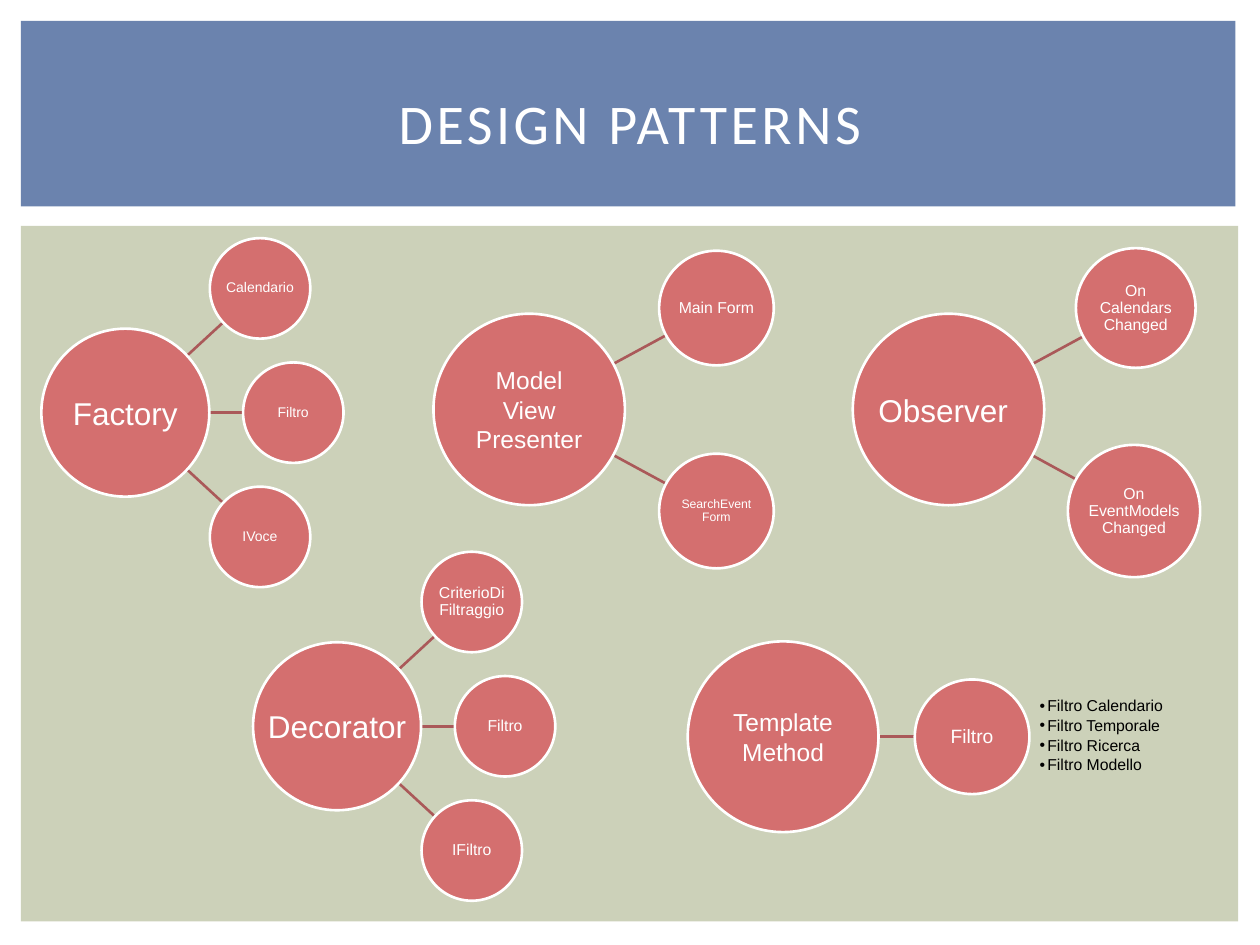
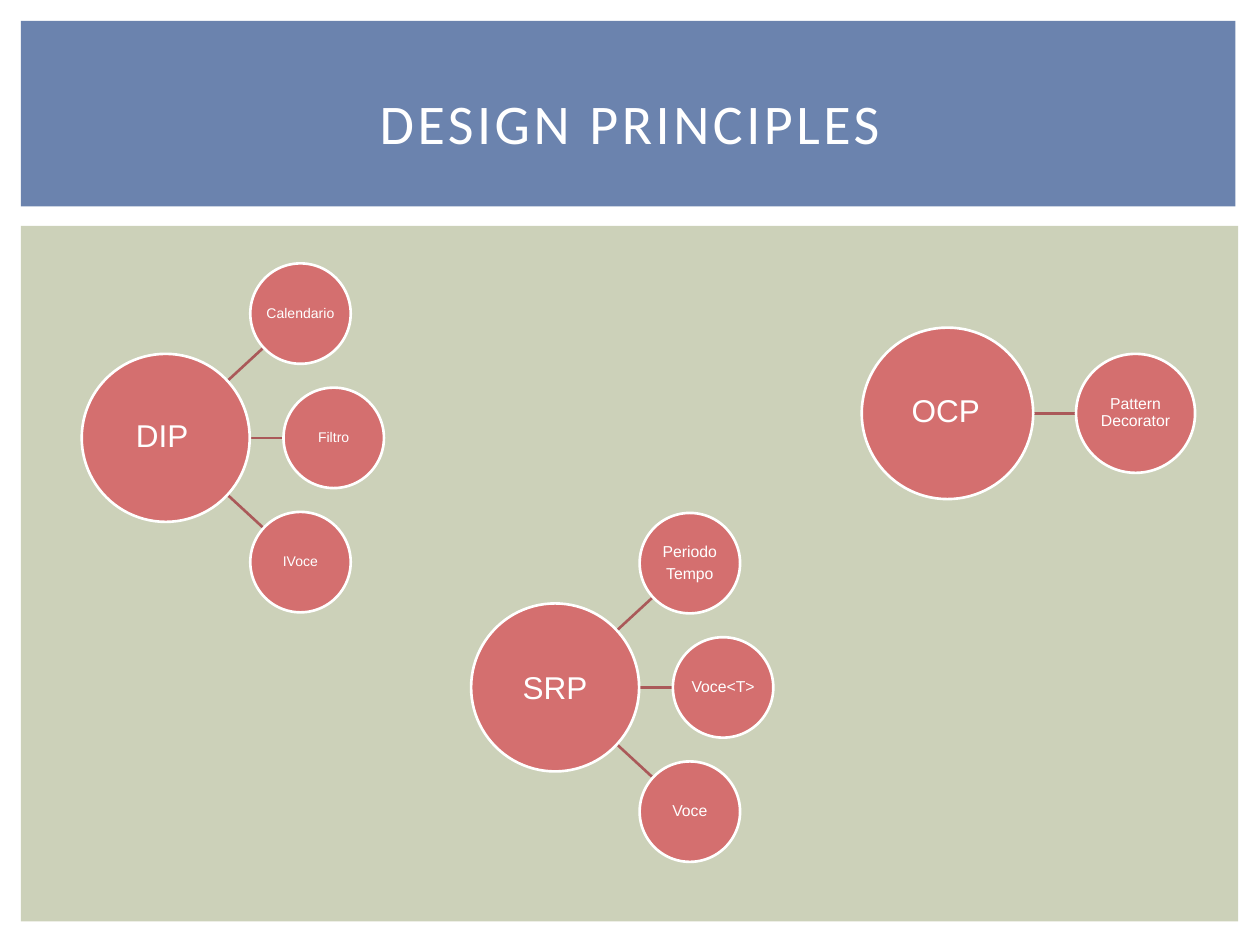
from dataclasses import dataclass
from math import hypot

from lxml.etree import SubElement
from pptx import Presentation
from pptx.dml.color import RGBColor
from pptx.enum.shapes import MSO_CONNECTOR as Connector, MSO_SHAPE as Preset
from pptx.enum.text import MSO_ANCHOR as Anchor, MSO_AUTO_SIZE as AutoSize, PP_ALIGN as Align
from pptx.oxml.ns import qn
from pptx.util import Pt

COLOURS = {
    "band": "6B83AE",
    "panel": "CCD1B9",
    "circle": "D46F6F",
    "link": "AA5959",
    "light": "FFFFFF",
    "dark": "000000",
}
BODY_FONT, TITLE_FONT = "Arial", "Calibri"
LINE_WIDTH = 1.5
TRIO_OFFSETS = [(77, -71), (96, 0), (77, 71)]


@dataclass(frozen=True)
class Satellite:
    text: str
    dx: float
    dy: float
    diameter: float
    size: float = 9
    gap: float = 0


@dataclass(frozen=True)
class Hub:
    text: str
    x: float
    y: float
    satellites: list[Satellite]
    diameter: float = 96
    size: float = 18
    nudge: tuple[float, float] = (0, 0)


@dataclass(frozen=True)
class BulletList:
    text: str
    left: float
    top: float
    width: float
    height: float


@dataclass(frozen=True)
class Topic:
    title: str
    hubs: list[Hub]
    bullets: BulletList | None = None


def trio(*texts: str, size: float = 9, gap: float = 0) -> list[Satellite]:
    return [Satellite(text, dx, dy, 57.4, size, gap)
            for text, (dx, dy) in zip(texts, TRIO_OFFSETS)]


TOPICS = [
    Topic("DESIGN PATTERNS", [
        Hub("Factory", 71.6, 235.8, trio("Calendario", "Filtro", "IVoce", size=8)),
        Hub("Model\nView\nPresenter", 302.4, 234, [
            Satellite("Main Form", 107, -58, 65.5),
            Satellite("SearchEvent Form", 107, 58, 65.5, 7),
        ], 109.4, 14),
        Hub("Observer", 542, 234, [
            Satellite("On\nCalendars\nChanged", 107, -58, 68.4),
            Satellite("On\nEventModels\nChanged", 106, 58, 75.6),
        ], 109.4, nudge=(-3, 0)),
        Hub("Decorator", 192.6, 415, trio("CriterioDiFiltraggio", "Filtro", "IFiltro")),
        Hub("Template\nMethod", 447.5, 421, [Satellite("Filtro", 108, 0, 65.5, 11)], 109, 14),
    ], BulletList("Filtro Calendario\nFiltro Temporale\nFiltro Ricerca\nFiltro Modello",
                  594, 388, 98, 65.5)),
    Topic("DESIGN PRINCIPLES", [
        Hub("DIP", 94.7, 250.2, trio("Calendario", "Filtro", "IVoce", size=8), nudge=(-2, -1.5)),
        Hub("OCP", 541.4, 236.2, [Satellite("Pattern\nDecorator", 107.5, 0, 68)], 98,
            nudge=(-1, -2)),
        Hub("SRP", 317.2, 392.8, trio("Periodo\nTempo", "Voce<T>", "Voce", gap=3)),
    ]),
]


def colour(name: str) -> RGBColor:
    return RGBColor.from_string(COLOURS[name])


def clear_margins(frame) -> None:
    frame.margin_left = frame.margin_right = frame.margin_top = frame.margin_bottom = 0
    frame.vertical_anchor = Anchor.MIDDLE


def style_spans(para, font: str, size: float, tone: str) -> None:
    for span in para.runs:
        span.font.name = font
        span.font.size = Pt(size)
        span.font.color.rgb = colour(tone)


def add_filled(page, preset, left: float, top: float, width: float, height: float, fill: str):
    shape = page.shapes.add_shape(preset, Pt(left), Pt(top), Pt(width), Pt(height))
    shape.shadow.inherit = False
    shape.fill.solid()
    shape.fill.fore_color.rgb = colour(fill)
    shape.line.fill.background()
    return shape


def add_circle(page, x: float, y: float, diameter: float, text: str, size: float,
               spacing: float = 1.0, gap: float = 0):
    radius = diameter / 2
    circle = add_filled(page, Preset.OVAL, x - radius, y - radius, diameter, diameter, "circle")
    circle.line.color.rgb = colour("light")
    circle.line.width = Pt(LINE_WIDTH)
    frame = circle.text_frame
    clear_margins(frame)
    frame.word_wrap = True
    frame.text = text
    for index, para in enumerate(frame.paragraphs):
        para.alignment = Align.CENTER
        para.line_spacing = spacing
        para.space_before = Pt(gap if index else 0)
        style_spans(para, BODY_FONT, size, "light")
    return circle


def add_link(page, hub: Hub, satellite: Satellite) -> None:
    distance = hypot(satellite.dx, satellite.dy)
    start = hub.diameter / 2 / distance
    end = 1 - satellite.diameter / 2 / distance
    link = page.shapes.add_connector(
        Connector.STRAIGHT,
        Pt(hub.x + start * satellite.dx), Pt(hub.y + start * satellite.dy),
        Pt(hub.x + end * satellite.dx), Pt(hub.y + end * satellite.dy))
    link.line.color.rgb = colour("link")
    link.line.width = Pt(LINE_WIDTH)
    SubElement(link.element.spPr, qn("a:effectLst"))


def add_hub(page, hub: Hub) -> None:
    for satellite in hub.satellites:
        add_link(page, hub, satellite)
    frame = add_circle(page, hub.x, hub.y, hub.diameter, hub.text, hub.size).text_frame
    frame.word_wrap = False
    frame.margin_right = Pt(-2 * hub.nudge[0])
    frame.margin_bottom = Pt(-2 * hub.nudge[1])
    for satellite in hub.satellites:
        add_circle(page, hub.x + satellite.dx, hub.y + satellite.dy, satellite.diameter,
                   satellite.text, satellite.size, 0.9, satellite.gap)


def add_bullets(page, bullets: BulletList) -> None:
    box = page.shapes.add_textbox(Pt(bullets.left), Pt(bullets.top),
                                  Pt(bullets.width), Pt(bullets.height))
    frame = box.text_frame
    clear_margins(frame)
    frame.word_wrap = True
    frame.text = bullets.text
    for para in frame.paragraphs:
        properties = para._p.get_or_add_pPr()
        properties.set("marL", str(Pt(4.5)))
        properties.set("indent", str(Pt(-4.5)))
        SubElement(properties, qn("a:buFont"), typeface=BODY_FONT)
        SubElement(properties, qn("a:buChar"), char="•")
        para.line_spacing = 0.9
        para.space_after = Pt(1.5)
        style_spans(para, BODY_FONT, 9, "dark")


def add_title(page, text: str) -> None:
    title = page.shapes.title
    page.shapes.element.append(title.element)
    title.left, title.top, title.width, title.height = Pt(30), Pt(28), Pt(660), Pt(83)
    frame = title.text_frame
    frame.text = text
    frame.auto_size = AutoSize.NONE
    frame.vertical_anchor = Anchor.MIDDLE
    para = frame.paragraphs[0]
    para.alignment = Align.CENTER
    style_spans(para, TITLE_FONT, 32, "light")
    for span in para.runs:
        span.font._element.set("spc", "200")


def add_topic(deck, topic: Topic) -> None:
    page = deck.slides.add_slide(deck.slide_layouts[5])
    add_filled(page, Preset.RECTANGLE, 12, 129, 695.5, 397.5, "panel")
    add_filled(page, Preset.RECTANGLE, 12, 12, 694, 106, "band")
    add_title(page, topic.title)
    for hub in topic.hubs:
        add_hub(page, hub)
    if topic.bullets:
        add_bullets(page, topic.bullets)


def main() -> None:
    """Build the deck of design patterns and principles."""
    deck = Presentation()
    deck.slide_width, deck.slide_height = Pt(720), Pt(540)
    for topic in TOPICS:
        add_topic(deck, topic)
    deck.save("out.pptx")


if __name__ == "__main__":
    main()
